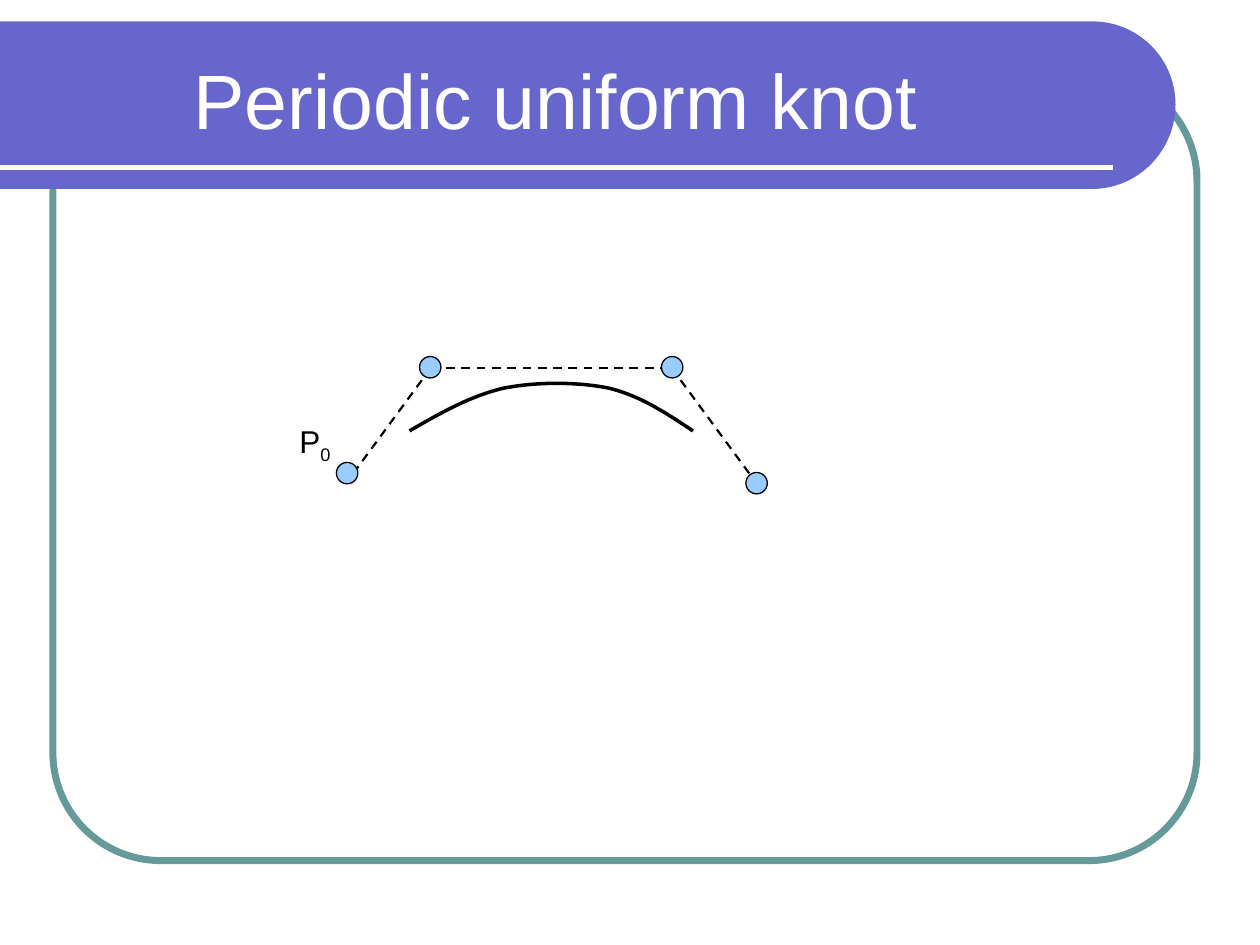
from pptx import Presentation
from pptx.dml.color import RGBColor
from pptx.enum import dml, shapes, text
from pptx.oxml import xmlchemy as xml
from pptx.util import Inches, Pt

WHITE = RGBColor(0xFF, 0xFF, 0xFF)
BLACK = RGBColor(0, 0, 0)
TEAL = RGBColor(0x66, 0x99, 0x99)
VIOLET = RGBColor(0x66, 0x66, 0xCC)
SKY = RGBColor(0x99, 0xCC, 0xFF)


def trace(points, closed):
    """Draw a freeform; a start point is followed by cubic Bezier triples."""
    dots = [points[0]]
    for i in range(0, len(points) - 1, 3):
        a, b, c, d = points[i:i + 4]
        for n in range(1, 25):
            t = n / 24
            s = 1 - t
            dots.append(tuple(
                s**3 * p + 3 * s * s * t * q + 3 * s * t * t * r + t**3 * e
                for p, q, r, e in zip(a, b, c, d)))
    if closed:
        dots = [(0, dots[0][1])] + dots + [(0, dots[-1][1])]
    dots = [(Inches(x), Inches(y)) for x, y in dots]
    path = slide.shapes.build_freeform(*dots[0], scale=1.0)
    path.add_line_segments(dots[1:], close=closed)
    shape = path.convert_to_shape()
    shape.shadow.inherit = False
    return shape


def join(start, end, color, width):
    """Draw a straight line without a shadow."""
    line = slide.shapes.add_connector(
        shapes.MSO_CONNECTOR.STRAIGHT, *map(Inches, start + end))
    line.line.color.rgb = color
    line.line.width = Pt(width)
    line._element.spPr.append(xml.OxmlElement("a:effectLst"))
    return line


prs = Presentation()
prs.slide_width, prs.slide_height = Inches(10), Inches(7.5)
slide = prs.slides.add_slide(prs.slide_layouts[5])

# Frame and banner
frame = slide.shapes.add_shape(
    shapes.MSO_SHAPE.ROUNDED_RECTANGLE,
    Inches(0.42), Inches(0.58), Inches(9.08), Inches(6.25))
frame.adjustments[0] = 0.137
frame.shadow.inherit = False
frame.fill.background()
frame.line.color.rgb = TEAL
frame.line.width = Pt(4)

banner = trace([(8.67, 0.17), (9.03, 0.17), (9.33, 0.46), (9.33, 0.83),
                (9.33, 1.2), (9.03, 1.5), (8.67, 1.5)], True)
banner.fill.solid()
banner.fill.fore_color.rgb = VIOLET
banner.line.fill.background()
join((0, 1.33), (8.83, 1.33), WHITE, 3)

# Title, brought in front of the banner
title = slide.shapes.title
title.left, title.top = Inches(0.16), Inches(0.16)
title.width, title.height = Inches(8.5), Inches(1.25)
title.text_frame.text = "Periodic uniform knot"
title.text_frame.vertical_anchor = text.MSO_ANCHOR.MIDDLE
head = title.text_frame.paragraphs[0]
head.alignment = text.PP_ALIGN.CENTER
head.font.name, head.font.size = "Arial", Pt(44)
head.font.color.rgb = WHITE
slide.shapes._spTree.append(title._element)

# Spline and its control polygon
curve = trace([(3.25, 3.42), (3.49, 3.28), (3.74, 3.14), (4, 3.08),
               (4.26, 3.03), (4.58, 3.03), (4.83, 3.08),
               (5.08, 3.14), (5.29, 3.28), (5.5, 3.42)], False)
curve.fill.background()
curve.line.color.rgb = BLACK
curve.line.width = Pt(2)

left, right = (3.42, 2.92), (5.33, 2.92)
for start, end in [(left, right), (left, (2.75, 3.83)), (right, (6, 3.83))]:
    edge = join(start, end, BLACK, 1.25)
    edge.line.dash_style = dml.MSO_LINE.DASH

size = Inches(0.17)
for x, y in [(2.67, 3.67), (3.33, 2.83), (5.25, 2.83), (5.92, 3.75)]:
    knot = slide.shapes.add_shape(
        shapes.MSO_SHAPE.OVAL, Inches(x), Inches(y), size, size)
    knot.shadow.inherit = False
    knot.fill.solid()
    knot.fill.fore_color.rgb = SKY
    knot.line.color.rgb = BLACK
    knot.line.width = Pt(0.75)

# Point label
label = slide.shapes.add_textbox(
    Inches(2.25), Inches(3.3), Inches(0.5), Inches(0.5))
label.text_frame.word_wrap = False
label.text_frame.auto_size = text.MSO_AUTO_SIZE.SHAPE_TO_FIT_TEXT
para = label.text_frame.paragraphs[0]
para.alignment = text.PP_ALIGN.CENTER
for part in "P0":
    run = para.add_run()
    run.text = part
    run.font.name, run.font.size = "Arial", Pt(18)
    run.font.color.rgb = BLACK
run.font._element.set("baseline", "-25000")

prs.save("out.pptx")
